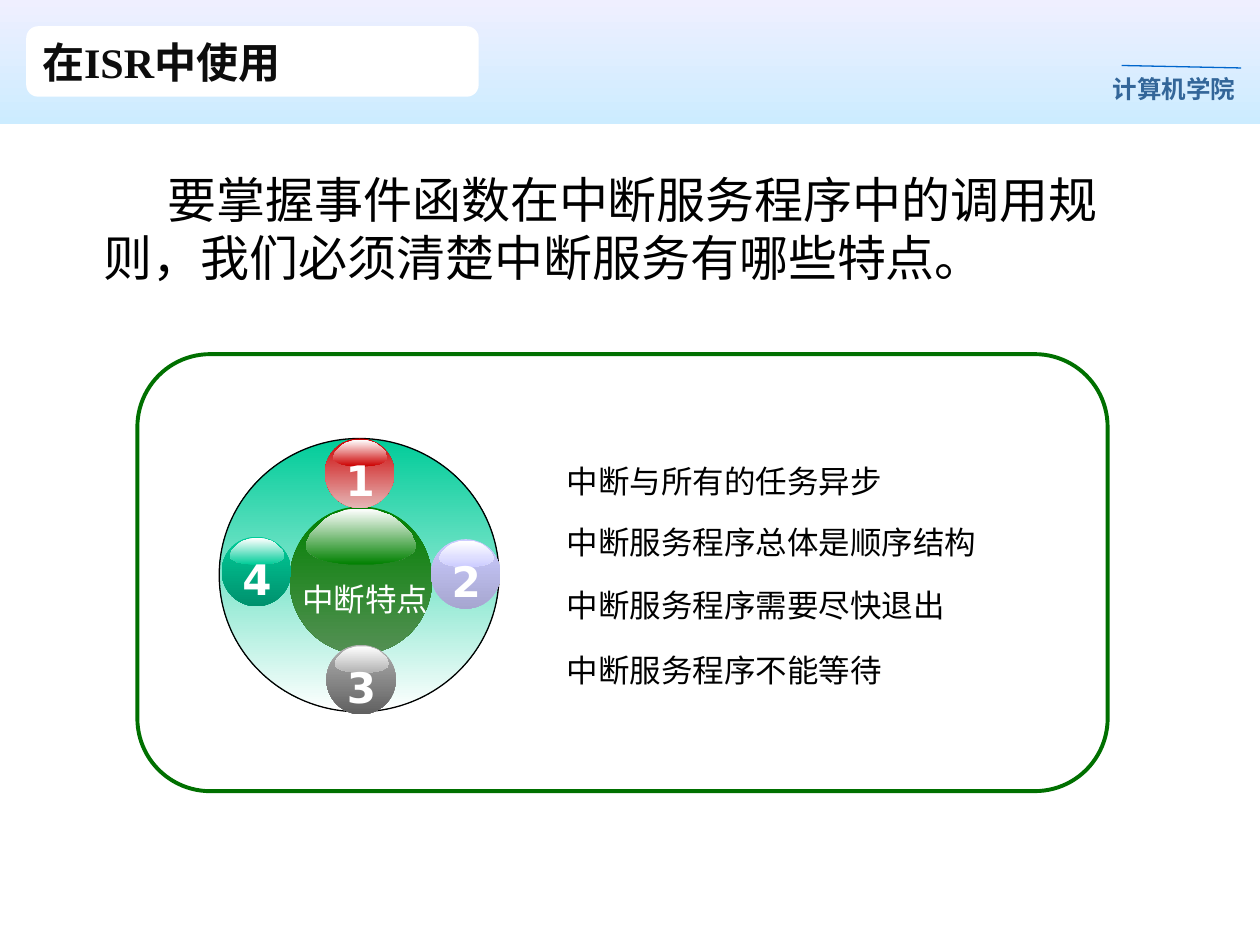
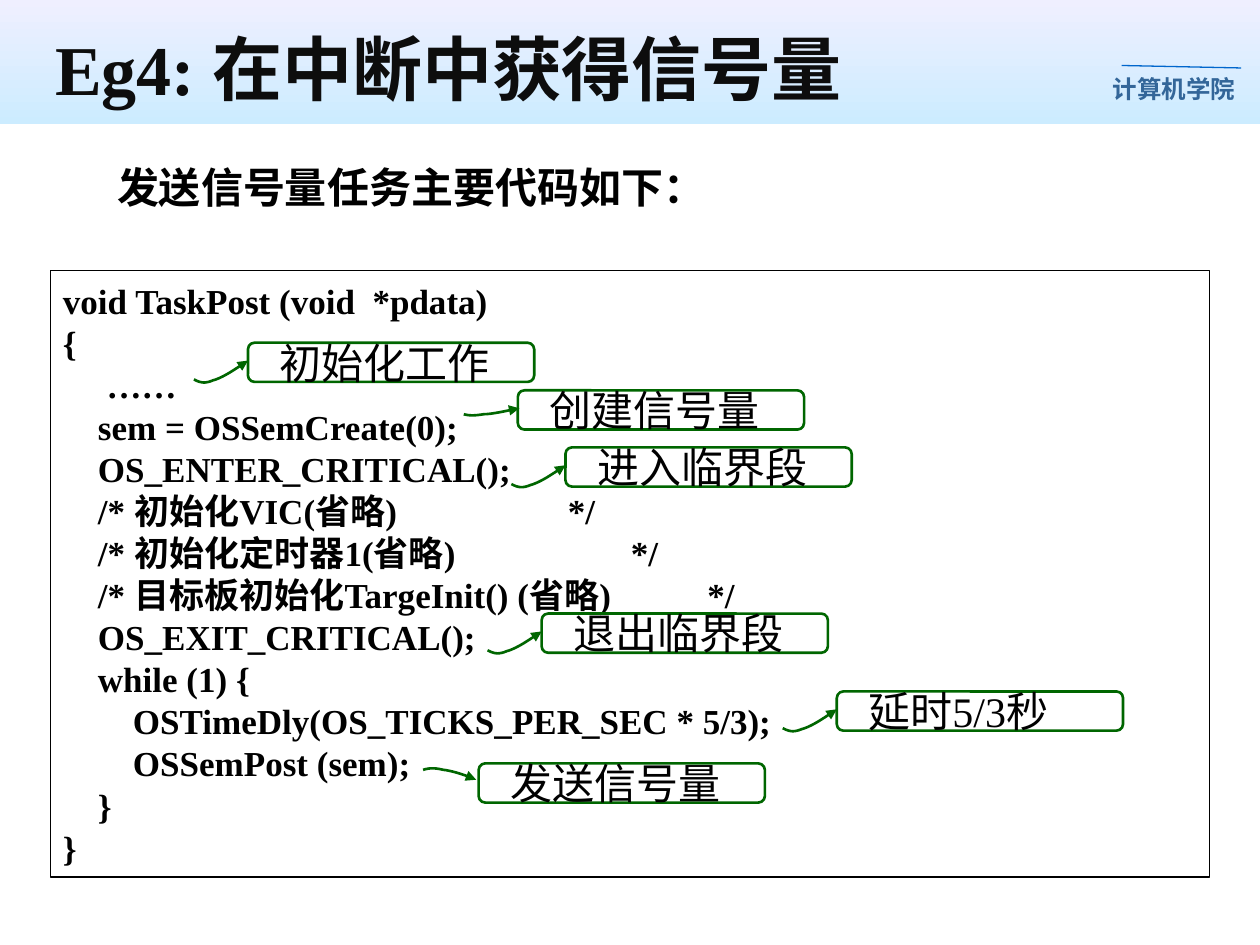
"""Build two slides on using semaphores inside interrupt service routines."""
from dataclasses import dataclass

from lxml import etree
from pptx import Presentation
from pptx import util as u
from pptx.dml.color import RGBColor
from pptx.enum import shapes, text
from pptx.oxml.ns import qn

SERIF, SANS, CJK = "Times New Roman", "Arial", "Noto Sans CJK SC"
BLACK, WHITE, INK = "000000", "FFFFFF", "0D0D0D"
CALLOUT_GREEN, PANEL_GREEN, CORE_GREEN = "006600", "007000", "008000"
RECT = shapes.MSO_SHAPE.RECTANGLE
ROUND = shapes.MSO_SHAPE.ROUNDED_RECTANGLE
OVAL = shapes.MSO_SHAPE.OVAL
MIDDLE = text.MSO_ANCHOR.MIDDLE
CENTER, JUSTIFY = text.PP_ALIGN.CENTER, text.PP_ALIGN.JUSTIFY

GLOSS_HALF = [(0, 0), (.16, 0), (.28, .02), (.41, .07), (.53, .11), (.64, .18),
              (.74, .27), (.83, .36), (.92, .45), (.97, .57), (1, .62), (1, .68),
              (.97, .77), (.87, .84), (.74, .91), (.57, .95), (.37, .98), (.2, 1)]

RISE = [(-1.09, .74), (-.99, .79), (-.89, .84), (-.71, .76), (-.51, .71), (-.25, .53), (0, .36)]
FLAT = [(-1.09, .48), (-.99, .51), (-.86, .51), (-.69, .48), (-.51, .48), (-.23, .41), (.03, .36)]
FALL = [(-1.12, .13), (-1.02, .1), (-.91, .08), (-.71, .13), (-.53, .15), (-.28, .23), (-.05, .33)]

CODE = """void TaskPost (void  *pdata)
{
     ……
    sem = OSSemCreate(0);
    OS_ENTER_CRITICAL();
    /* 初始化VIC(省略)\t                   */
    /* 初始化定时器1(省略) \t                   */
    /* 目标板初始化TargeInit() (省略)           */
    OS_EXIT_CRITICAL();
    while (1) {
        OSTimeDly(OS_TICKS_PER_SEC * 5/3);
        OSSemPost (sem);
    }
}"""


@dataclass
class Ball:
    """A numbered glossy ball on the ring."""
    label: str
    x: float
    y: float
    top: str
    bottom: str


@dataclass
class Feature:
    """One line of the feature list."""
    label: str
    y: float


@dataclass
class Callout:
    """A note on the code with the curve that leads to it."""
    label: str
    x: float
    y: float
    curve: list


BALLS = [Ball("1", 6.55, 8.84, "CC0000", "E5B6B6"),
         Ball("3", 6.58, 13, "B2B2B2", "606060"),
         Ball("2", 8.69, 10.87, "CCCCFF", "A6A6D0"),
         Ball("4", 4.47, 10.82, "00CC99", "00916D")]

FEATURES = [Feature("中断与所有的任务异步", 9.19),
            Feature("中断服务程序总体是顺序结构", 10.41),
            Feature("中断服务程序需要尽快退出", 11.68),
            Feature("中断服务程序不能等待", 13)]

CALLOUTS = [Callout("创建信号量", 10.44, 7.87, FLAT),
            Callout("初始化工作", 5, 6.91, RISE),
            Callout("发送信号量", 9.65, 15.39, FALL),
            Callout("进入临界段", 11.4, 9.02, RISE),
            Callout("退出临界段", 10.92, 12.37, RISE),
            Callout("延时5/3秒", 16.87, 13.94, RISE)]


def rgb(value: str) -> RGBColor:
    """Turn a hex string into a colour."""
    return RGBColor.from_string(value)


def paint(sp, fill=None, line=None, width=.75):
    """Set a solid, two-colour or absent fill, and the outline."""
    sp.shadow.inherit = False
    if fill is None:
        sp.fill.background()
    elif isinstance(fill, str):
        sp.fill.solid()
        sp.fill.fore_color.rgb = rgb(fill)
    else:
        sp.fill.gradient()
        sp.fill.gradient_angle = 270
        for stop, color in zip(sp.fill.gradient_stops, fill):
            stop.color.rgb = rgb(color)
    if line is None:
        sp.line.fill.background()
    else:
        sp.line.color.rgb = rgb(line)
        sp.line.width = u.Pt(width)
    return sp


def add_block(sps, kind, x: float, y: float, w: float, h: float, **look):
    """Draw a preset shape."""
    return paint(sps.add_shape(kind, u.Cm(x), u.Cm(y), u.Cm(w), u.Cm(h)), **look)


def write(sp, content: str, size=18, font=SERIF, color=BLACK, bold=False, align=None,
          anchor=text.MSO_ANCHOR.TOP, wrap=True, margin=0., indent=0., tab=0., left=.25, right=.25):
    """Fill a shape with text, one paragraph a line."""
    tf = sp.text_frame
    tf.word_wrap = wrap
    tf.vertical_anchor = anchor
    tf.margin_left, tf.margin_right = u.Cm(left), u.Cm(right)
    tf.margin_top = tf.margin_bottom = u.Cm(.13)
    for i, line in enumerate(content.split("\n")):
        p = tf.add_paragraph() if i else tf.paragraphs[0]
        p.alignment = align or text.PP_ALIGN.LEFT
        pPr = p._p.get_or_add_pPr()
        pPr.set("marL", str(u.Cm(margin)))
        pPr.set("indent", str(u.Cm(indent)))
        if tab:
            tabs = etree.SubElement(pPr, qn("a:tabLst"))
            etree.SubElement(tabs, qn("a:tab"), pos=str(u.Cm(tab)), algn="l")
        r = p.add_run()
        r.text = line
        r.font.size, r.font.name, r.font.bold = u.Pt(size), font, bold
        r.font.color.rgb = rgb(color)
        etree.SubElement(r._r.get_or_add_rPr(), qn("a:ea"), typeface=CJK)
    return sp


def add_label(sps, content: str, x: float, y: float, w: float, h: float, **fmt):
    """Add a text box."""
    return write(sps.add_textbox(u.Cm(x), u.Cm(y), u.Cm(w), u.Cm(h)), content, **fmt)


def add_outline(sps, points: list, close: bool):
    """Draw a freeform through points given in centimetres."""
    start, *rest = [(u.Cm(x), u.Cm(y)) for x, y in points]
    builder = sps.build_freeform(*start)
    builder.add_line_segments(rest, close=close)
    return builder.convert_to_shape()


def add_gloss(sps, x: float, y: float, w: float, h: float, color: str):
    """Draw the dome-shaped highlight of a ball."""
    mirrored = [(-a, b) for a, b in reversed(GLOSS_HALF[1:])]
    points = [(x + w * (1 + a) / 2, y + h * b) for a, b in GLOSS_HALF + mirrored]
    paint(add_outline(sps, points, True), fill=(WHITE, color))


def bezier(p0, p1, p2, p3, steps=10) -> list:
    """Sample a cubic curve, leaving out its first point."""
    points = []
    for i in range(1, steps + 1):
        t = i / steps
        weights = ((1 - t) ** 3, 3 * t * (1 - t) ** 2, 3 * t * t * (1 - t), t ** 3)
        points.append(tuple(sum(k * p[axis] for k, p in zip(weights, (p0, p1, p2, p3)))
                            for axis in (0, 1)))
    return points


def add_header(sps):
    """Draw the band and the school name shared by the slides."""
    add_block(sps, RECT, 0, 0, 25.4, 2.51, fill=("EFEFFF", "CCECFF"))
    add_label(sps, "计算机学院", 22.43, 1.37, 2.97, .86, size=14, font=SANS,
              color="336699", bold=True, left=0, right=0)
    rule = sps.add_connector(shapes.MSO_CONNECTOR.STRAIGHT,
                             u.Cm(22.61), u.Cm(1.32), u.Cm(25.02), u.Cm(1.37))
    rule.line.color.rgb = rgb("0066CC")
    rule.line.width = u.Pt(.75)
    etree.SubElement(rule._element.spPr, qn("a:effectLst"))


def add_ball(sps, ball: Ball):
    """Draw a numbered ball as one group."""
    group = sps.add_group_shape().shapes
    add_block(group, OVAL, ball.x, ball.y, 1.4, 1.4, fill=(ball.top, ball.bottom))
    add_gloss(group, ball.x + .17, ball.y + .03, 1.09, .53, ball.top)
    add_label(group, ball.label, ball.x + .15, ball.y + .2, 1.12, 1.27, size=24,
              font="DejaVu Sans", color=WHITE, bold=True, align=CENTER, wrap=False)


def add_callout(sps, note: Callout):
    """Draw a note and its curved arrow."""
    sp = add_block(sps, ROUND, note.x, note.y, 5.77, .79, line=CALLOUT_GREEN, width=1.5)
    write(sp, note.label, size=24, anchor=MIDDLE, left=.6, right=0)
    curve = [(note.x + dx, note.y + dy) for dx, dy in note.curve]
    points = curve[:1] + bezier(*curve[:4]) + bezier(*curve[3:])
    arrow = paint(add_outline(sps, points, False), line=CALLOUT_GREEN, width=1.5)
    etree.SubElement(arrow.line._get_or_add_ln(), qn("a:tailEnd"), type="triangle")


def build_features(sps):
    """Draw the slide on the features of interrupts."""
    add_header(sps)
    for item in FEATURES:
        sp = add_block(sps, RECT, 11.18, item.y, 9.3, 1.02, fill=WHITE)
        write(sp, item.label, font=CJK, align=JUSTIFY)
    add_block(sps, OVAL, 4.42, 8.84, 5.64, 5.51, fill=("00CC99", WHITE), line=BLACK)
    add_block(sps, OVAL, 5.84, 10.21, 2.87, 2.97, fill=(CORE_GREEN, "549054"))
    add_gloss(sps, 6.17, 10.26, 2.21, 1.12, CORE_GREEN)
    add_label(sps, "中断特点", 5.84, 11.56, 3.05, 1.02, color=WHITE, align=CENTER, wrap=False)
    for ball in BALLS:
        add_ball(sps, ball)
    add_label(sps, "要掌握事件函数在中断服务程序中的调用规则，我们必须清楚中断服务有哪些特点。",
              1.83, 3.28, 20.83, 2.64, size=28, indent=1.3)
    add_block(sps, ROUND, 2.77, 7.14, 19.56, 8.81, line=PANEL_GREEN, width=2.25)
    sp = add_block(sps, ROUND, .53, .53, 9.12, 1.42, fill=WHITE)
    write(sp, "在ISR中使用", size=24, color=INK, bold=True, anchor=MIDDLE)


def build_code(sps):
    """Draw the slide with the annotated code."""
    add_header(sps)
    sp = add_block(sps, RECT, 1.02, 5.46, 23.37, 12.22, fill=WHITE, line=BLACK)
    write(sp, CODE, size=20, bold=True, anchor=MIDDLE, margin=.48, indent=-.48, tab=5.23)
    for note in CALLOUTS:
        add_callout(sps, note)
    add_label(sps, "发送信号量任务主要代码如下：", 1.35, 3.12, 21.03, 1.27,
              size=24, bold=True, indent=.76)
    add_label(sps, "Eg4: 在中断中获得信号量", .86, .56, 17.75, 1.6, size=40,
              color=INK, bold=True, anchor=MIDDLE, wrap=False)


def main():
    """Build and save the presentation."""
    prs = Presentation()
    prs.slide_width, prs.slide_height = u.Cm(25.4), u.Cm(19.05)
    for build in (build_features, build_code):
        build(prs.slides.add_slide(prs.slide_layouts[6]).shapes)
    prs.save("out.pptx")


if __name__ == "__main__":
    main()
